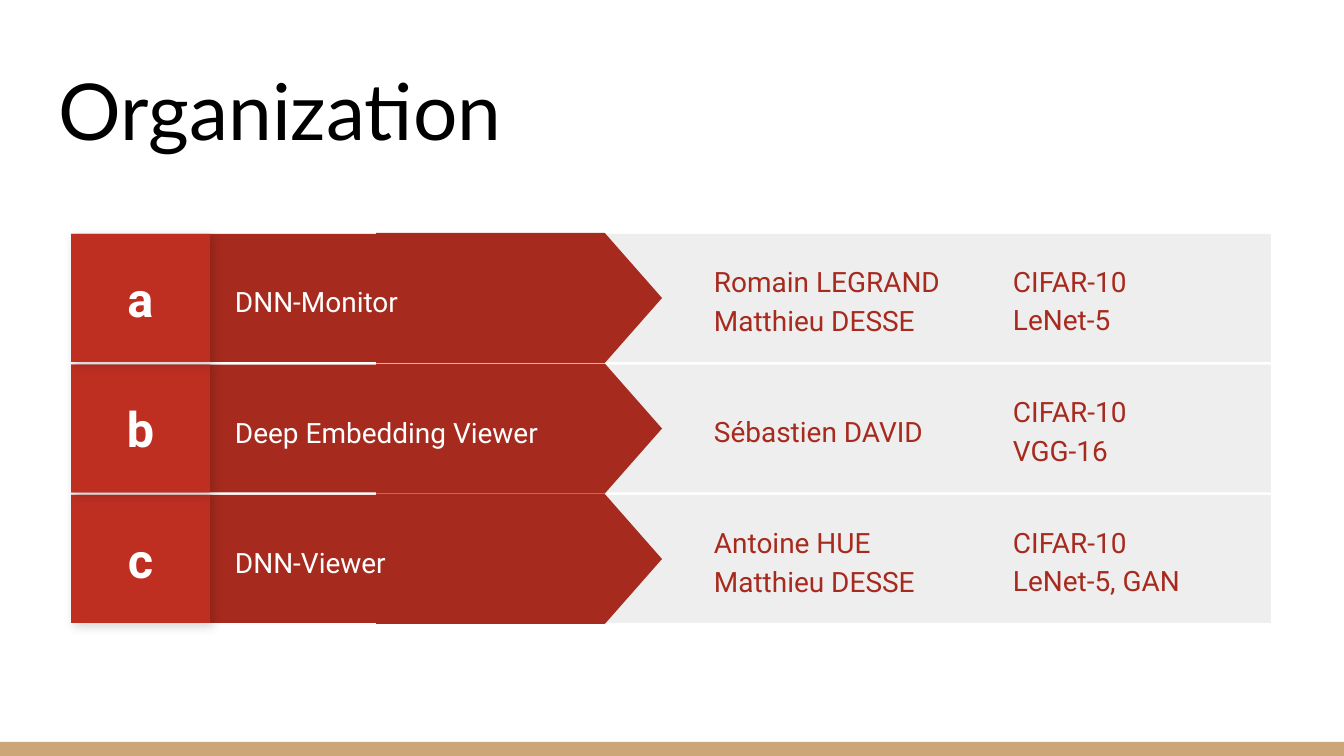
from lxml import etree
from pptx import Presentation
from pptx import util as u
from pptx.dml.color import RGBColor
from pptx.enum import shapes, text
from pptx.oxml import ns

TITLE = "Organization"
ROWS = [
    {"letter": "a", "project": "DNN-Monitor",
     "people": ["Romain LEGRAND", "Matthieu DESSE"], "models": ["CIFAR-10", "LeNet-5"]},
    {"letter": "b", "project": "Deep Embedding Viewer",
     "people": ["Sébastien DAVID"], "models": ["CIFAR-10", "VGG-16"]},
    {"letter": "c", "project": "DNN-Viewer",
     "people": ["Antoine HUE", "Matthieu DESSE"], "models": ["CIFAR-10", "LeNet-5, GAN"]},
]
COLORS = {"black": "000000", "white": "FFFFFF", "gold": "CCA677", "grey": "EEEEEE",
          "red": "A72A1E", "tile": "BE2F22", "tile_back": "B02C20"}

PX = 914400 / 134.4
PAGE_W, PAGE_H = 1344, 756
ROW_TOP, ROW_H, ROW_PITCH = 234, 128, 130.5
TILE_X, TILE_W = 71, 139
ARROW_X, ARROW_W, ARROW_H = 376, 286, 130
INSET, INDENT = 13, 67

RECT = shapes.MSO_SHAPE.RECTANGLE
PENTAGON = shapes.MSO_SHAPE.FLOWCHART_OFFPAGE_CONNECTOR


def px(value):
    return u.Emu(round(value * PX))


def rgb(name):
    return RGBColor.from_string(COLORS[name])


def add_block(parent, kind, box, color):
    block = parent.add_shape(kind, *map(px, box))
    block.shadow.inherit = False
    block.fill.solid()
    block.fill.fore_color.rgb = rgb(color)
    block.line.fill.background()
    return block


def write(box, lines, size, color, font="Roboto", bold=False, spacing=None, indent=0,
          align=text.PP_ALIGN.LEFT, anchor=text.MSO_ANCHOR.MIDDLE):
    frame = box.text_frame
    frame.word_wrap = True
    frame.auto_size = text.MSO_AUTO_SIZE.NONE
    frame.vertical_anchor = anchor
    frame.margin_left = frame.margin_right = px(INSET)
    frame.margin_top = frame.margin_bottom = px(INSET)
    for index, line in enumerate(lines):
        para = frame.add_paragraph() if index else frame.paragraphs[0]
        para.alignment = align
        para.line_spacing = spacing
        if indent:
            props = para._p.get_or_add_pPr()
            props.set("marL", str(px(indent)))
            props.set("indent", "0")
        span = para.add_run()
        span.text = line
        span.font.size = u.Pt(size)
        span.font.name = font
        span.font.bold = bold
        span.font.color.rgb = rgb(color)


def add_text(parent, box, lines, color, indent=0):
    label = parent.add_textbox(*map(px, box))
    write(label, lines, 15, color, spacing=1.15, indent=indent)


def add_soft_shadow(block):
    effects = block._element.spPr.find(ns.qn("a:effectLst"))
    shadow = etree.SubElement(effects, ns.qn("a:outerShdw"), blurRad=str(u.Pt(5.6)),
                              dist=str(u.Pt(2.2)), dir="2700000", algn="bl", rotWithShape="0")
    color = etree.SubElement(shadow, ns.qn("a:srgbClr"), val=COLORS["black"])
    etree.SubElement(color, ns.qn("a:alpha"), val="17000")


def add_row(page, row, top):
    group = page.shapes.add_group_shape().shapes
    add_block(group, RECT, (501, top, 770, ROW_H), "grey")
    add_block(group, RECT, (TILE_X + TILE_W, top, 371, ROW_H), "red")
    # The pentagon points down until it is turned, so its box is upright.
    arrow_left = ARROW_X + (ARROW_W - ARROW_H) / 2
    arrow_top = top + (ROW_H - ARROW_W) / 2
    arrow = add_block(group, PENTAGON, (arrow_left, arrow_top, ARROW_H, ARROW_W), "red")
    arrow.rotation = 270
    add_text(group, (222, top + 16, 420, 98), [row["project"]], "white")
    tile_box = (TILE_X, top, TILE_W, ROW_H)
    add_soft_shadow(add_block(group, RECT, tile_box, "tile_back"))
    tile = add_block(group, RECT, tile_box, "tile")
    write(tile, [row["letter"]], 26, "white", bold=True, align=text.PP_ALIGN.CENTER)
    add_text(group, (634, top, 329, ROW_H), row["people"], "red", INDENT)


def main():
    deck = Presentation()
    deck.slide_width, deck.slide_height = px(PAGE_W), px(PAGE_H)
    page = deck.slides.add_slide(deck.slide_layouts[5])

    title = page.shapes.title
    title.left, title.top, title.width, title.height = map(px, (46, 47, 1252, 122))
    write(title, [TITLE], 42, "black", font="Lato", anchor=text.MSO_ANCHOR.BOTTOM)
    add_block(page.shapes, RECT, (0, 742, PAGE_W, PAGE_H - 742), "gold")

    placed = [(row, ROW_TOP + index * ROW_PITCH) for index, row in enumerate(ROWS)]
    for row, top in reversed(placed):  # upper tiles cast their shadow on lower rows
        add_row(page, row, top)
    for row, top in placed:
        add_text(page.shapes, (933, top + 16, 356, 96), row["models"], "red", INDENT)

    deck.save("out.pptx")


if __name__ == "__main__":
    main()
